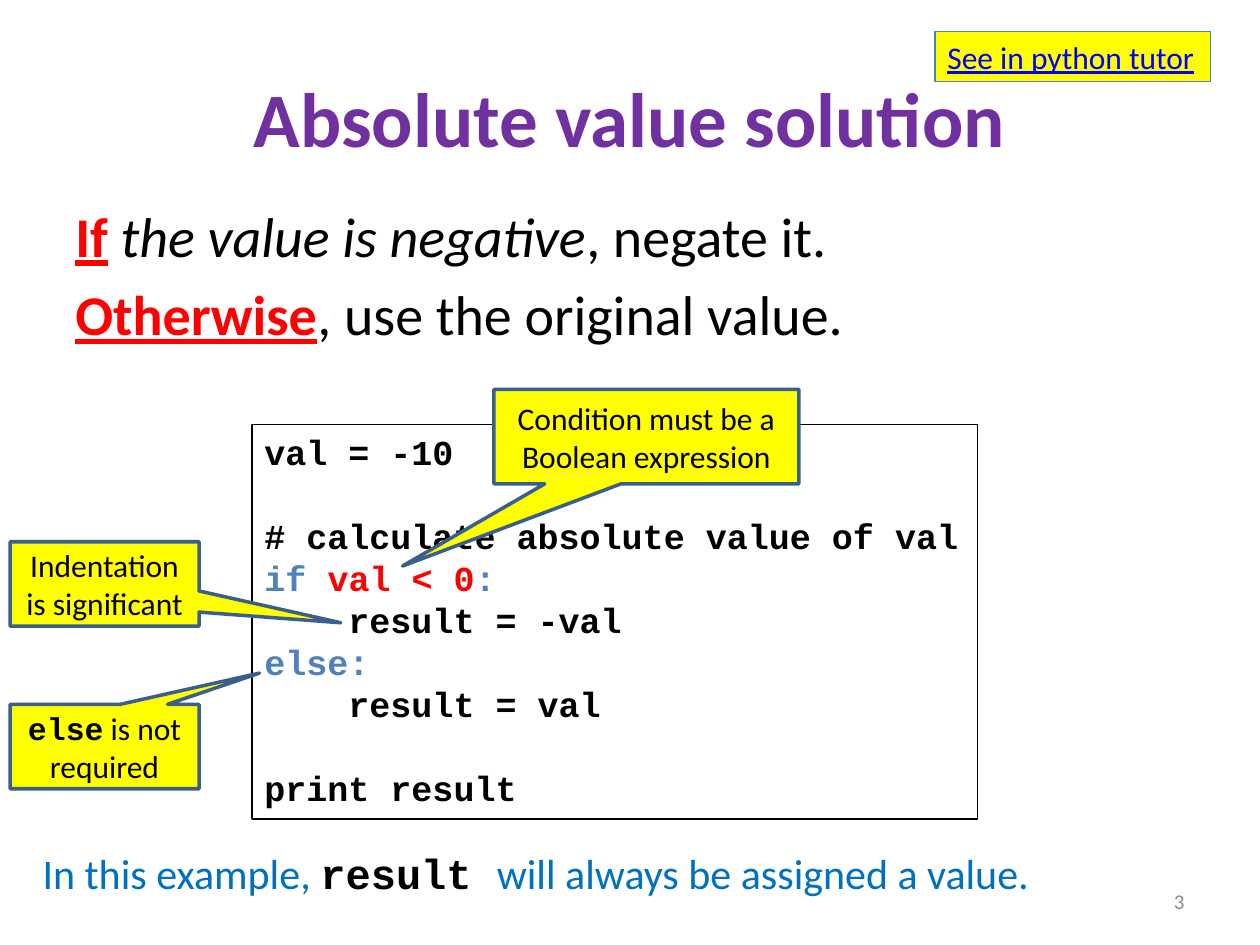
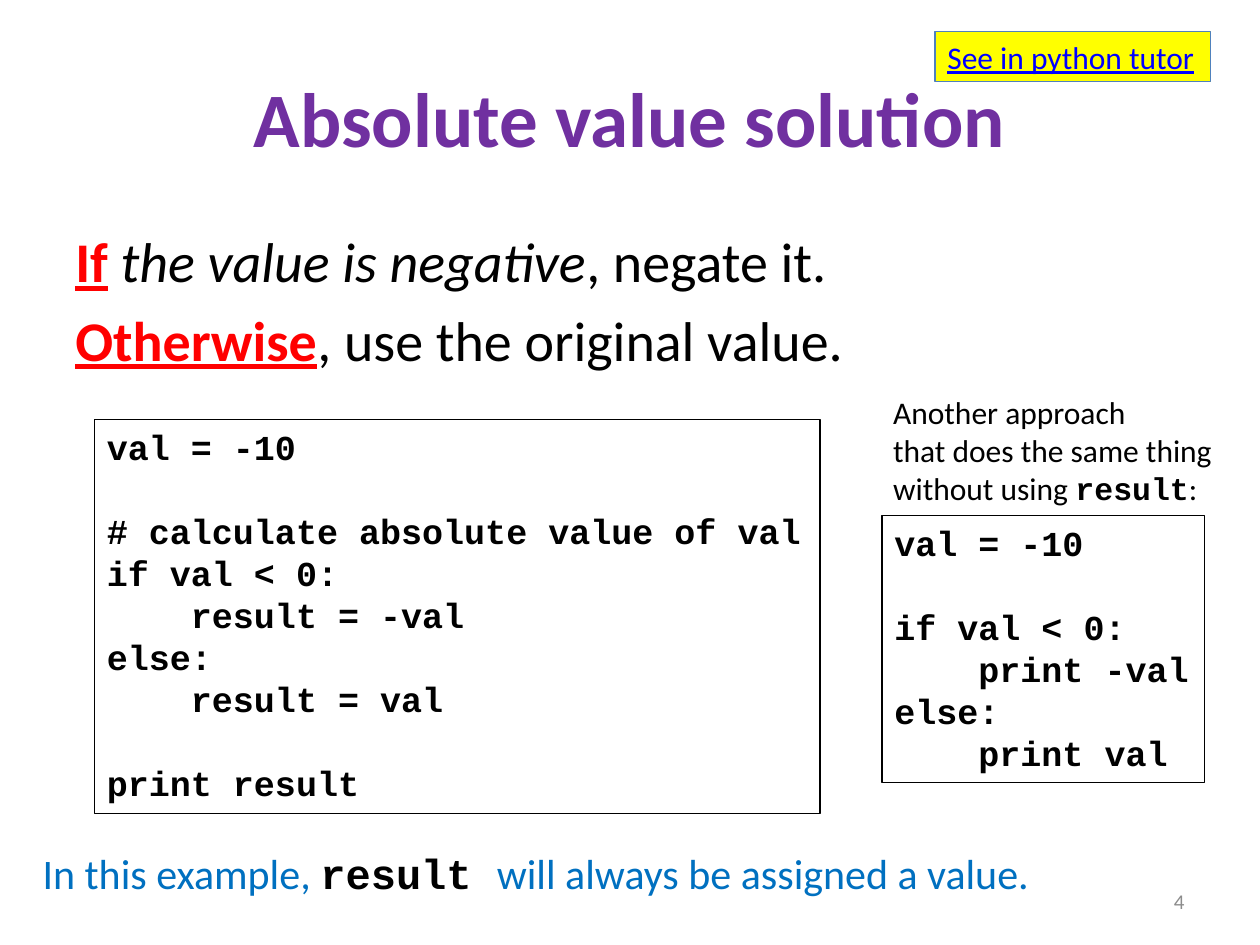
import pptx
import pptx.util
from dataclasses import dataclass
from pptx.dml.color import RGBColor
from pptx.enum.shapes import MSO_SHAPE
from pptx.enum.text import MSO_ANCHOR, PP_ALIGN
from pptx.util import Inches, Pt


@dataclass(frozen=True)
class Theme:
    sans: str = "Calibri"
    mono: str = "Courier New"
    black: str = "000000"
    purple: str = "7030A0"
    red: str = "FF0000"
    blue: str = "0070C0"
    keyword: str = "4F81BD"
    link: str = "0000FF"
    yellow: str = "FFFF00"
    callout_line: str = "3A5F8C"
    gray: str = "8C8C8C"
    title_size: int = 44
    body_size: int = 32
    summary_size: int = 24
    code_size: int = 20
    note_size: int = 18
    number_size: int = 12
    code_pitch: int = 24
    body_gap: float = 6.4


T = Theme()

STRONG = dict(color=T.red, bold=True, underline=True)
ITALIC = dict(italic=True)
KEYWORD = dict(color=T.keyword)
CONDITION = dict(color=T.red)
MONO = dict(name=T.mono, bold=True)
MONO_BLACK = dict(MONO, color=T.black)

TITLE = ["Absolute value solution"]
LINK = ["See in python tutor"]
RULES = [
    [("If", STRONG), " ", ("the value is negative", ITALIC), ", negate it."],
    [("Otherwise", STRONG), ", use the original value."],
]
SUMMARY = [["In this example, ", ("result ", MONO_BLACK),
            "will always be assigned a value."]]
ALTERNATIVE = ["Another approach", "that does the same thing",
               ["without using ", ("result", MONO), ":"]]


def code_blocks(condition, otherwise):
    return [
        ["val = -10"],
        ["# calculate absolute value of val", condition,
         "    result = -val", otherwise, "    result = val"],
        ["print result"],
    ]


MARKED_CODE = code_blocks(
    [("if ", KEYWORD), ("val < 0", CONDITION), (":", KEYWORD)],
    [("else:", KEYWORD)])
PLAIN_CODE = code_blocks("if val < 0:", "else:")
SHORT_CODE = [
    ["val = -10"],
    ["if val < 0:", "    print -val", "else:", "    print val"],
]

SLIDES = [
    dict(number="3", rules_top=1.55,
         code=[(MARKED_CODE, (2, 3.37, 5.76, 3.13))],
         notes=[],
         callouts=[
             (["Condition must be a Boolean expression"],
              (3.92, 3.09, 2.42, 0.75), (-0.8, 1.37)),
             (["Indentation is significant"],
              (0.08, 4.3, 1.5, 0.67), (1.25, 0.46)),
             ([[("else", MONO), " is not required"]],
              (0.08, 5.59, 1.5, 0.67), (0.82, -0.87)),
         ]),
    dict(number="4", rules_top=1.75,
         code=[(PLAIN_CODE, (0.75, 3.33, 5.76, 3.13)),
               (SHORT_CODE, (7, 4.09, 2.56, 2.12))],
         notes=[(ALTERNATIVE, (6.99, 3.07, 2.79, 1.01))],
         callouts=[]),
]


def style_font(font, name=None, size=None, color=None, bold=None,
               italic=None, underline=None):
    if name:
        font.name = name
    if size:
        font.size = Pt(size)
    if color:
        font.color.rgb = RGBColor.from_string(color)
    if bold is not None:
        font.bold = bold
    if italic is not None:
        font.italic = italic
    if underline is not None:
        font.underline = underline


def paint(sp, fill=None, line=None, width=0.75):
    if fill:
        sp.fill.solid()
        sp.fill.fore_color.rgb = RGBColor.from_string(fill)
    if line:
        sp.line.color.rgb = RGBColor.from_string(line)
        sp.line.width = Pt(width)


def write(sp, lines, size, color=T.black, align=PP_ALIGN.LEFT,
          anchor=MSO_ANCHOR.TOP, wrap=True, gap=0, **font):
    tf = sp.text_frame
    tf.word_wrap = wrap
    tf.vertical_anchor = anchor
    base = dict(dict(name=T.sans), size=size, color=color, **{})
    base.update(font)
    for i, line in enumerate(lines):
        p = tf.paragraphs[0] if i == 0 else tf.add_paragraph()
        p.alignment = align
        if i and gap:
            p.space_before = Pt(gap)
        style_font(p.font, **base)
        for part in [line] if isinstance(line, str) else line:
            text, style = (part, {}) if isinstance(part, str) else part
            r = p.add_run()
            r.text = text
            style_font(r.font, **style)
    return tf


def add_text(s, box, lines, size, fill=None, line=None, **options):
    sp = s.shapes.add_textbox(*map(Inches, box))
    paint(sp, fill, line)
    return write(sp, lines, size, **options)


def add_code(s, blocks, box):
    lines = [line for block in blocks for line in block]
    tf = add_text(s, box, lines, T.code_size, line=T.black, wrap=False,
                  name=T.mono, bold=True)
    for p in tf.paragraphs:
        p.line_spacing = Pt(T.code_pitch)
    start = 0
    for block in blocks[:-1]:
        start += len(block)
        tf.paragraphs[start].space_before = Pt(T.code_pitch)


def add_callout(s, lines, box, tip):
    sp = s.shapes.add_shape(MSO_SHAPE.RECTANGULAR_CALLOUT, *map(Inches, box))
    sp.shadow.inherit = False
    sp.adjustments[0], sp.adjustments[1] = tip
    paint(sp, T.yellow, T.callout_line, 2)
    write(sp, lines, T.note_size, align=PP_ALIGN.CENTER,
          anchor=MSO_ANCHOR.MIDDLE)


def build_slide(prs, content):
    s = prs.slides.add_slide(prs.slide_layouts[6])
    add_text(s, (0.5, 0.3, 9, 1.25), TITLE, T.title_size, color=T.purple,
             bold=True, align=PP_ALIGN.CENTER, anchor=MSO_ANCHOR.MIDDLE)
    top = content["rules_top"]
    add_text(s, (0.5, top, 9, 6.7 - top), RULES, T.body_size, gap=T.body_gap)
    for blocks, box in content["code"]:
        add_code(s, blocks, box)
    add_text(s, (7.17, 6.95, 2.33, 0.4), [content["number"]], T.number_size,
             color=T.gray, align=PP_ALIGN.RIGHT, anchor=MSO_ANCHOR.MIDDLE)
    add_text(s, (0.24, 6.68, 8.1, 0.5), SUMMARY, T.summary_size,
             color=T.blue, wrap=False)
    for lines, box in content["notes"]:
        add_text(s, box, lines, T.note_size, wrap=False)
    add_text(s, (7.42, 0.25, 2.19, 0.4), LINK, T.note_size, fill=T.yellow,
             line=T.keyword, color=T.link, underline=True, wrap=False)
    for lines, box, tip in content["callouts"]:
        add_callout(s, lines, box, tip)


def main():
    prs = pptx.Presentation()
    prs.slide_width, prs.slide_height = Inches(10), Inches(7.5)
    for content in SLIDES:
        build_slide(prs, content)
    prs.save("out.pptx")


if __name__ == "__main__":
    main()
